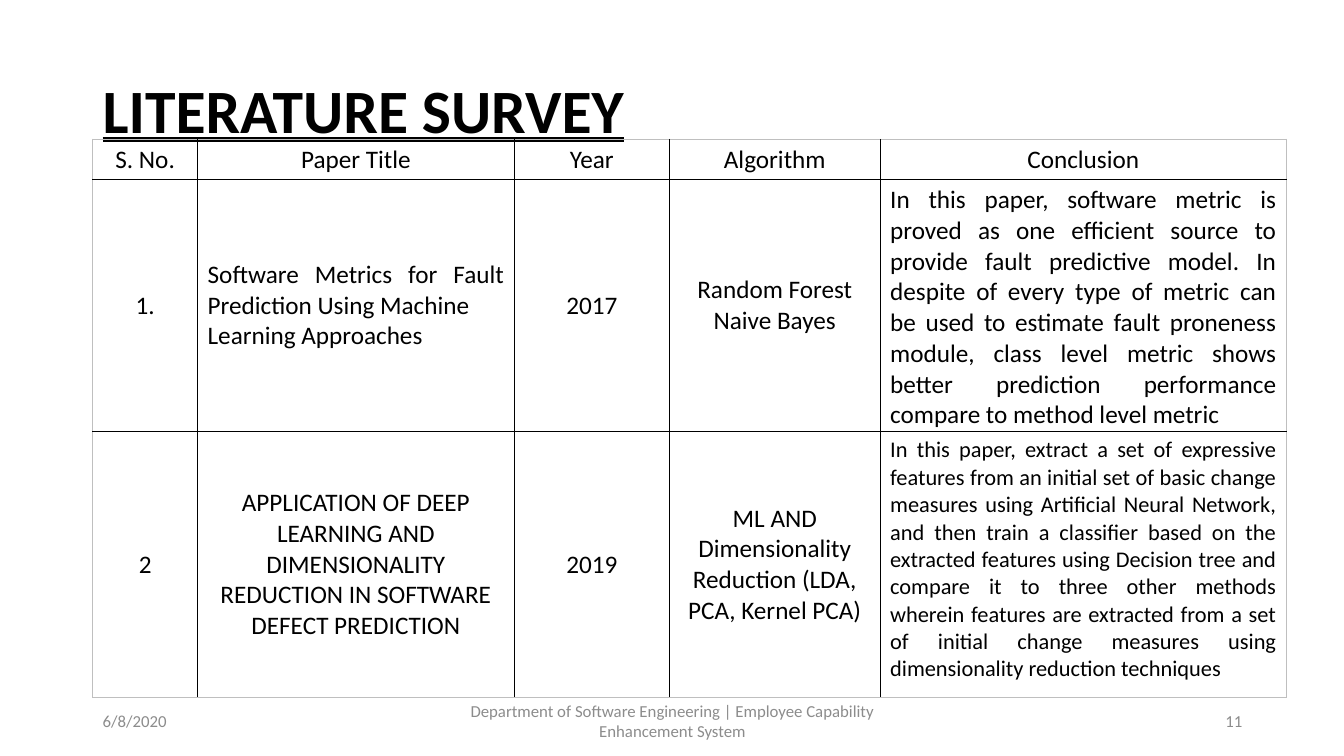
from dataclasses import dataclass

from lxml import etree
from pptx import Presentation
from pptx import util as u
from pptx.dml import color
from pptx.enum import text
from pptx.oxml import ns

LEFT, CENTER, RIGHT, JUSTIFY = (
    text.PP_ALIGN.LEFT, text.PP_ALIGN.CENTER, text.PP_ALIGN.RIGHT, text.PP_ALIGN.JUSTIFY)
TOP, MIDDLE = text.MSO_ANCHOR.TOP, text.MSO_ANCHOR.MIDDLE


@dataclass(frozen=True)
class Theme:
    """Colours, font and type sizes of the slide."""
    font: str = "Calibri"
    ink: str = "000000"
    footer_ink: str = "8C8C8C"
    outer_rule: str = "BFBFBF"
    title: int = 44
    body: int = 18
    small: int = 16
    footer: int = 12


THEME = Theme()
MARGIN = 0.92
COLUMNS = (1.04, 3.14, 1.54, 2.09, 4.03)
ROWS = (0.4, 2.33, 2.64)
HEADINGS = ("S. No.", "Paper Title", "Year", "Algorithm", "Conclusion")
METRICS_PAPER = (
    "1.",
    "Software Metrics for Fault Prediction Using Machine\nLearning Approaches",
    "2017",
    "Random Forest\nNaive Bayes",
    "In this paper, software metric is proved as one efficient source to provide fault "
    "predictive model. In despite of every type of metric can be used to estimate fault "
    "proneness module, class level metric shows better prediction performance compare to "
    "method level metric",
)
DEEP_LEARNING_PAPER = (
    "2",
    "APPLICATION OF DEEP LEARNING AND DIMENSIONALITY\nREDUCTION IN SOFTWARE DEFECT PREDICTION",
    "2019",
    "ML AND Dimensionality Reduction (LDA, PCA, Kernel PCA)",
    "In this paper, extract a set of expressive features from an initial set of basic change "
    "measures using Artificial Neural Network, and then train a classifier based on the "
    "extracted features using Decision tree and compare it to three other methods wherein "
    "features are extracted from a set of initial change measures using dimensionality "
    "reduction techniques",
)
SURVEY = (HEADINGS, METRICS_PAPER, DEEP_LEARNING_PAPER)
CELL_FORMATS = {
    (1, 1): {"align": JUSTIFY},
    (1, 4): {"align": JUSTIFY},
    (2, 4): {"align": JUSTIFY, "size": THEME.small},
}
TOP_CELLS = {(0, column) for column in range(len(COLUMNS))} | {(2, 4)}


def write(frame, wording, size=THEME.body, ink=THEME.ink, align=CENTER,
          bold=False, underline=False, spacing=None):
    """Fill a text frame, one paragraph for each line of the wording."""
    for index, line in enumerate(wording.split("\n")):
        paragraph = frame.add_paragraph() if index else frame.paragraphs[0]
        paragraph.alignment = align
        paragraph.line_spacing = spacing
        run = paragraph.add_run()
        run.text = line
        run.font.name = THEME.font
        run.font.size = u.Pt(size)
        run.font.bold = bold
        run.font.underline = underline
        run.font.color.rgb = color.RGBColor.from_string(ink)


def add_label(slide, wording, left, top, width, height, **style):
    """Add a wrapped text box with vertically centred text."""
    box = slide.shapes.add_textbox(*(u.Inches(v) for v in (left, top, width, height)))
    box.text_frame.word_wrap = True
    box.text_frame.vertical_anchor = MIDDLE
    write(box.text_frame, wording, **style)


def rule_cell(cell, outer_sides):
    """Draw black inner rules and pale thin outer rules around a cell."""
    properties = cell._tc.get_or_add_tcPr()
    for index, side in enumerate("LRTB"):
        outer = side in outer_sides
        line = etree.Element(ns.qn(f"a:ln{side}"), w=str(u.Pt(0.5 if outer else 1)))
        fill = etree.SubElement(line, ns.qn("a:solidFill"))
        etree.SubElement(fill, ns.qn("a:srgbClr"), val=THEME.outer_rule if outer else THEME.ink)
        properties.insert(index, line)


def add_survey(slide):
    """Add the table of surveyed papers."""
    table = slide.shapes.add_table(
        len(ROWS), len(COLUMNS), u.Inches(MARGIN), u.Inches(1.38),
        u.Inches(sum(COLUMNS)), u.Inches(sum(ROWS))).table
    table.first_row = table.horz_banding = False
    for column, width in zip(table.columns, COLUMNS):
        column.width = u.Inches(width)
    for row, height in zip(table.rows, ROWS):
        row.height = u.Inches(height)
    for r, entries in enumerate(SURVEY):
        for c, wording in enumerate(entries):
            cell = table.cell(r, c)
            cell.fill.background()
            cell.vertical_anchor = TOP if (r, c) in TOP_CELLS else MIDDLE
            write(cell.text_frame, wording, **CELL_FORMATS.get((r, c), {}))
            edges = {"L": c == 0, "R": c == len(COLUMNS) - 1,
                     "T": r == 0, "B": r == len(ROWS) - 1}
            rule_cell(cell, {side for side, outer in edges.items() if outer})


def add_footer(slide):
    """Add the date, department and slide number."""
    for wording, left, width, align in (
        ("6/8/2020", MARGIN, 3, LEFT),
        ("Department of Software Engineering | Employee Capability Enhancement System",
         4.42, 4.5, CENTER),
        ("11", 9.42, 3, RIGHT),
    ):
        add_label(slide, wording, left, 6.95, width, 0.4,
                  size=THEME.footer, ink=THEME.footer_ink, align=align)


def main():
    """Build and save the literature survey slide."""
    deck = Presentation()
    deck.slide_width, deck.slide_height = u.Inches(13.33), u.Inches(7.5)
    slide = deck.slides.add_slide(deck.slide_layouts[6])
    add_label(slide, "LITERATURE SURVEY", MARGIN, 0.4, 11.5, 1.45, size=THEME.title,
              align=LEFT, bold=True, underline=True, spacing=0.9)
    add_survey(slide)
    add_footer(slide)
    deck.save("out.pptx")


if __name__ == "__main__":
    main()
